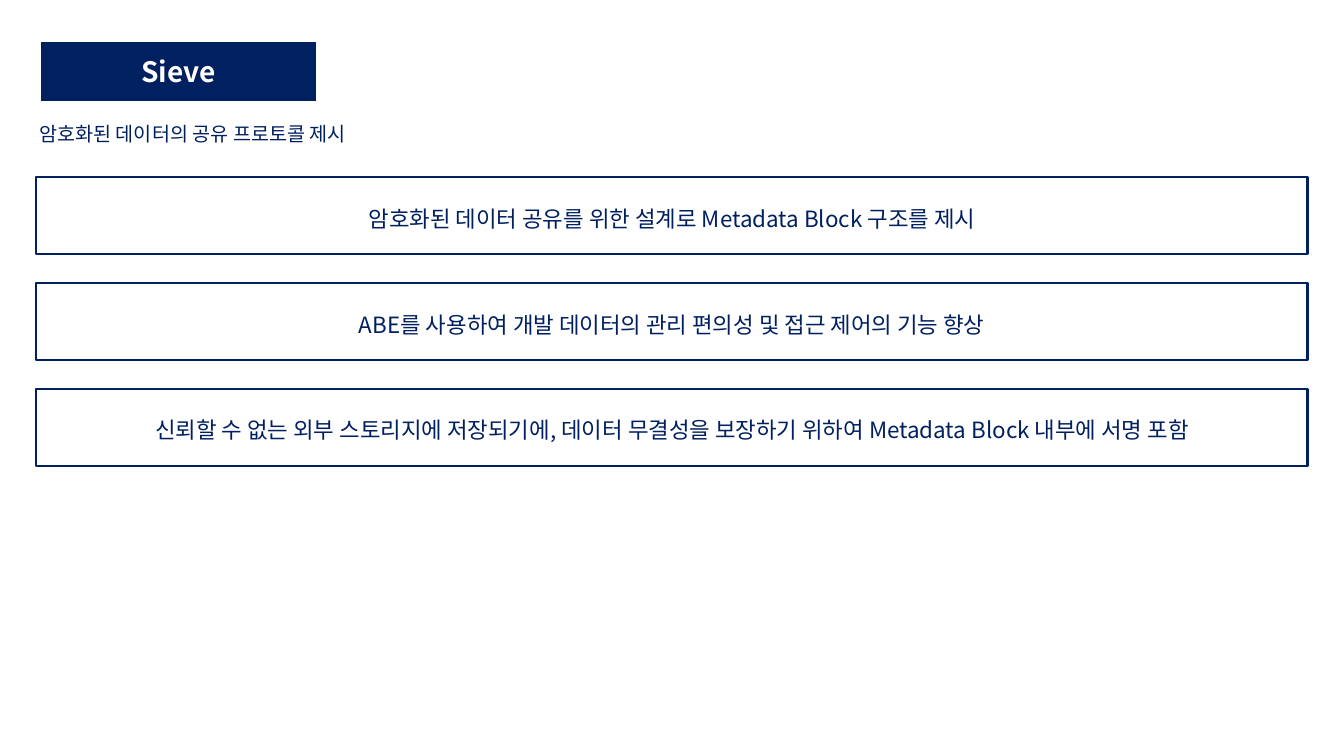
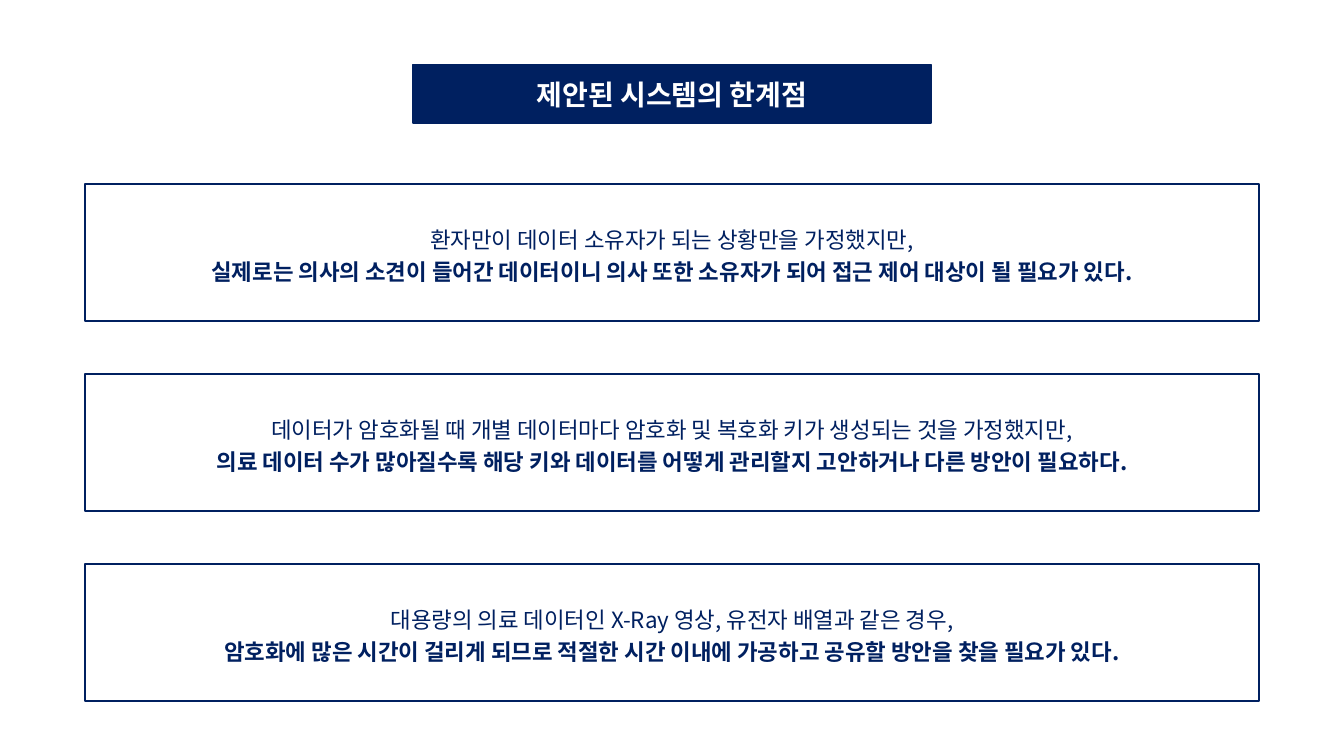
import pptx
import pptx.dml.color
import pptx.enum.shapes
import pptx.enum.text
import pptx.oxml.ns
import pptx.util
from lxml import etree

Pt = pptx.util.Pt
NAVY = pptx.dml.color.RGBColor(0x00, 0x20, 0x60)
WHITE = pptx.dml.color.RGBColor(0xFF, 0xFF, 0xFF)
FONT = "Noto Sans CJK KR"
CENTER = pptx.enum.text.PP_ALIGN.CENTER
LEFT = pptx.enum.text.PP_ALIGN.LEFT
MIDDLE = pptx.enum.text.MSO_ANCHOR.MIDDLE
TITLE_HEIGHT = 41.8
TITLE_ONLY = 5


def style_paragraph(p, size, color, bold=False, align=CENTER):
    p.alignment = align
    p.font.size = Pt(size)
    p.font.bold = bold
    p.font.color.rgb = color
    p.font.name = FONT
    # Korean text takes the East Asian typeface
    qn = pptx.oxml.ns.qn
    props = p._p.pPr.find(qn("a:defRPr"))
    etree.SubElement(props, qn("a:ea")).set("typeface", FONT)


def fill_and_outline(sp, fill, width):
    sp.fill.solid()
    sp.fill.fore_color.rgb = fill
    sp.line.color.rgb = NAVY
    sp.line.width = Pt(width)


def add_titled_slide(prs, title, left, top, width):
    s = prs.slides.add_slide(prs.slide_layouts[TITLE_ONLY])
    sp = s.shapes.title
    sp.left, sp.top = Pt(left), Pt(top)
    sp.width, sp.height = Pt(width), Pt(TITLE_HEIGHT)
    fill_and_outline(sp, NAVY, 1)
    tf = sp.text_frame
    tf.text = title
    tf.auto_size = pptx.enum.text.MSO_AUTO_SIZE.NONE
    tf.vertical_anchor = MIDDLE
    style_paragraph(tf.paragraphs[0], 20, WHITE, bold=True)
    return s


def add_subtitle(s, text, left, top, width, height):
    tf = s.shapes.add_textbox(Pt(left), Pt(top), Pt(width), Pt(height)).text_frame
    tf.word_wrap = False
    tf.text = text
    style_paragraph(tf.paragraphs[0], 14, NAVY, align=LEFT)


def add_box(s, lines, left, top, width, height):
    """Outlined box; every line after the first is bold."""
    sp = s.shapes.add_shape(pptx.enum.shapes.MSO_SHAPE.RECTANGLE,
                            Pt(left), Pt(top), Pt(width), Pt(height))
    sp.shadow.inherit = False
    fill_and_outline(sp, WHITE, 1.5)
    tf = sp.text_frame
    tf.word_wrap = True
    tf.vertical_anchor = MIDDLE
    tf.text = "\n".join(lines)
    for i, p in enumerate(tf.paragraphs):
        p.line_spacing = 1.2
        style_paragraph(p, 16, NAVY, bold=i > 0)


def add_box_stack(s, boxes, left, top, width, height, pitch):
    for i, lines in enumerate(boxes):
        add_box(s, lines, left, top + i * pitch, width, height)


def main():
    prs = pptx.Presentation()
    prs.slide_width, prs.slide_height = Pt(960), Pt(540)

    # Sieve
    s = add_titled_slide(prs, "Sieve", 29.5, 30.2, 196)
    add_subtitle(s, "암호화된 데이터의 공유 프로토콜 제시", 21, 83.5, 266, 24.5)
    add_box_stack(s, [
        ["암호화된 데이터 공유를 위한 설계로 Metadata Block 구조를 제시"],
        ["ABE를 사용하여 개발 데이터의 관리 편의성 및 접근 제어의 기능 향상"],
        ["신뢰할 수 없는 외부 스토리지에 저장되기에, 데이터 무결성을 보장하기 위하여 "
         "Metadata Block 내부에 서명 포함"],
    ], left=26, top=126.7, width=908, height=54.7, pitch=75.6)

    # Limitations of the proposed system
    s = add_titled_slide(prs, "제안된 시스템의 한계점", 295, 46.1, 370)
    add_box_stack(s, [
        ["환자만이 데이터 소유자가 되는 상황만을 가정했지만,",
         "실제로는 의사의 소견이 들어간 데이터이니 의사 또한 소유자가 되어 "
         "접근 제어 대상이 될 필요가 있다."],
        ["데이터가 암호화될 때 개별 데이터마다 암호화 및 복호화 키가 생성되는 것을 가정했지만,",
         "의료 데이터 수가 많아질수록 해당 키와 데이터를 어떻게 관리할지 "
         "고안하거나 다른 방안이 필요하다."],
        ["대용량의 의료 데이터인 X-Ray 영상, 유전자 배열과 같은 경우,",
         "암호화에 많은 시간이 걸리게 되므로 적절한 시간 이내에 가공하고 "
         "공유할 방안을 찾을 필요가 있다."],
    ], left=61, top=131.6, width=838, height=98, pitch=135.7)

    prs.save("out.pptx")


if __name__ == "__main__":
    main()
